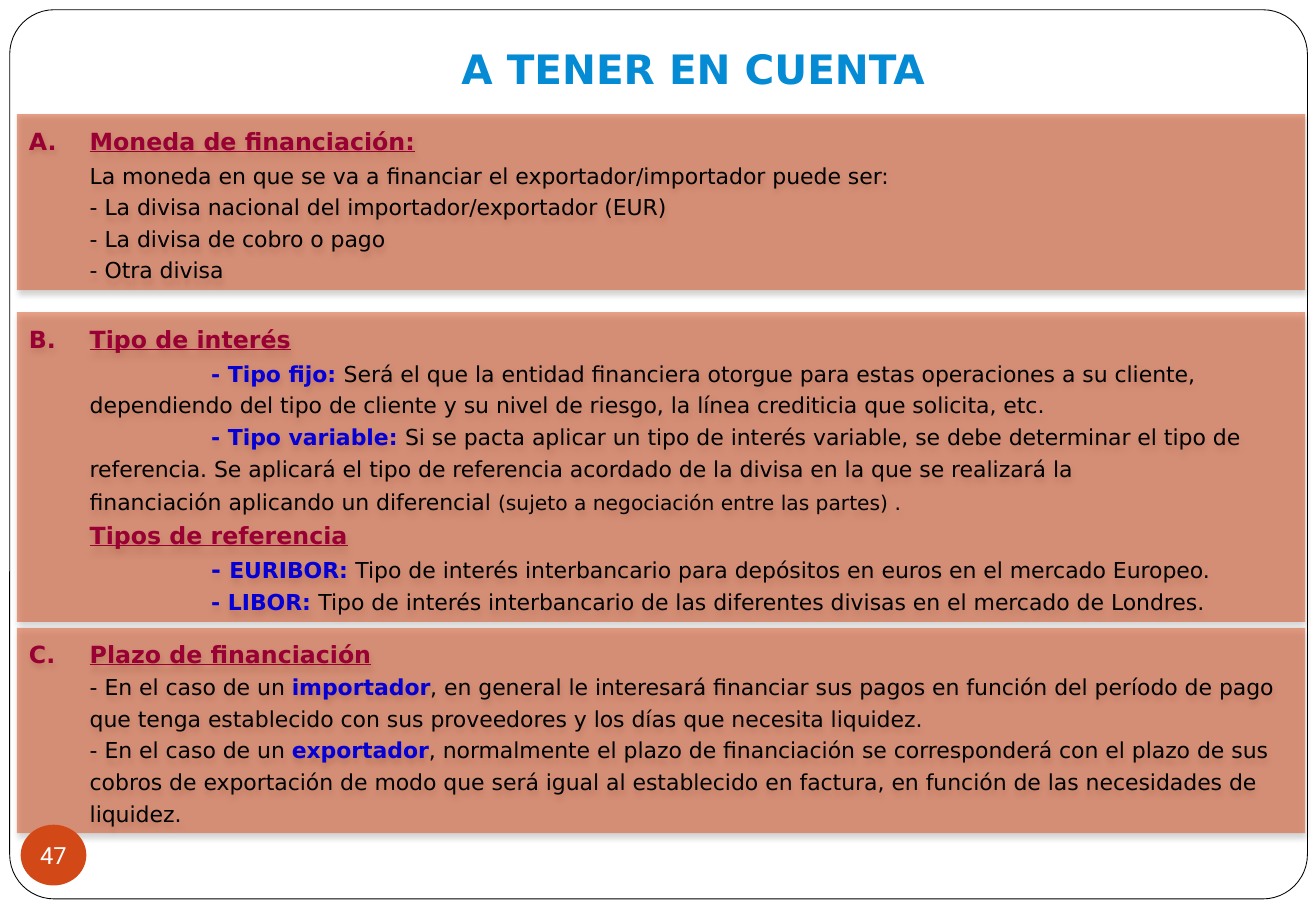
from lxml import etree
from pptx import Presentation, util as u
from pptx.dml.color import RGBColor
from pptx.enum import shapes, text
from pptx.oxml.ns import qn

COLOURS = {
    "paper": "FFFFFF", "ink": "000000", "title": "058AD4",
    "heading": "990033", "term": "0500D4", "panel": "D34817",
}
FONT, NUMBER_FONT = "DejaVu Sans", "Roboto"
PANEL_LEFT, PANEL_WIDTH = 1.29, 97.88  # percent of the slide width

# Paragraph kinds used in the panels: first-line indent and space before
HEADING = dict(size=14, colour="heading", bold=True, underline=True)
LETTERED = dict(margin=0.5, indent=-0.5)
PLAIN = dict(margin=0.5, indent=0)
SUBITEM = dict(margin=0.5, indent=1)
LEAD = dict(before=1.2)


def rgb(name):
    return RGBColor.from_string(COLOURS[name])


def add_run(paragraph, content, size=13, colour="ink", bold=False,
            underline=False, font=FONT):
    """Add formatted text; a newline becomes a line break."""
    for index, line in enumerate(content.split("\n")):
        if index:
            paragraph.add_line_break()
        run = paragraph.add_run()
        run.text = line
        run.font.name, run.font.size = font, u.Pt(size)
        run.font.bold, run.font.underline = bold, underline
        run.font.color.rgb = rgb(colour)


def term(content, **format):
    return content, dict(colour="term", bold=True, **format)


def body(content, **format):
    return content, format


class SlideBuilder:
    """Places elements by percent of the slide's width and height."""

    def __init__(self, presentation):
        self.width = presentation.slide_width
        self.height = presentation.slide_height
        self.slide = presentation.slides.add_slide(presentation.slide_layouts[6])

    def box(self, left, top, width, height):
        return [int(share * side / 100) for share, side in
                zip((left, top, width, height), (self.width, self.height) * 2)]

    def shape(self, kind, area, fill, line=None):
        shape = self.slide.shapes.add_shape(kind, *self.box(*area))
        shape.fill.solid()
        shape.fill.fore_color.rgb = rgb(fill)
        if line:
            shape.line.color.rgb = rgb(line)
            shape.line.width = u.Pt(0.5)
        else:
            shape.line.fill.background()
        shape.shadow.inherit = False
        return shape

    def frame(self, area):
        shape = self.shape(shapes.MSO_SHAPE.ROUNDED_RECTANGLE, area, "paper", "ink")
        shape.adjustments[0] = 0.05

    def title(self, area, content):
        frame = self.slide.shapes.add_textbox(*self.box(*area)).text_frame
        frame.word_wrap = False
        add_run(frame.paragraphs[0], content, size=24, colour="title", bold=True)

    def badge(self, area, content):
        frame = self.shape(shapes.MSO_SHAPE.OVAL, area, "panel").text_frame
        frame.margin_left = frame.margin_right = 0
        frame.margin_top = frame.margin_bottom = 0
        frame.word_wrap = False
        frame.vertical_anchor = text.MSO_ANCHOR.MIDDLE
        frame.paragraphs[0].alignment = text.PP_ALIGN.CENTER
        add_run(frame.paragraphs[0], content, size=14, colour="paper", font=NUMBER_FONT)

    def paragraph(self, paragraph, runs, margin, indent, before=0, number=None):
        properties = paragraph._p.get_or_add_pPr()
        properties.set("marL", str(u.Inches(margin)))
        properties.set("indent", str(u.Inches(indent)))
        if number:
            etree.SubElement(properties, qn("a:buAutoNum"),
                             type="alphaUcPeriod", startAt=str(number))
        paragraph.alignment = text.PP_ALIGN.LEFT
        paragraph.line_spacing = 1.2
        if before:
            paragraph.space_before = u.Pt(before)
        for content, format in runs:
            add_run(paragraph, content, **format)

    def panel(self, number, top, height, heading, paragraphs):
        area = PANEL_LEFT, top, PANEL_WIDTH, height
        shape = self.shape(shapes.MSO_SHAPE.RECTANGLE, area, "panel")
        properties = shape._element.spPr
        # Half-transparent fill and a soft shadow below
        colour = properties.find(qn("a:solidFill")).find(qn("a:srgbClr"))
        etree.SubElement(colour, qn("a:alpha"), val="50000")
        shadow = etree.SubElement(
            properties.find(qn("a:effectLst")), qn("a:outerShdw"),
            blurRad=str(u.Pt(3.5)), dist=str(u.Pt(2.2)), dir="5400000", rotWithShape="0")
        colour = etree.SubElement(shadow, qn("a:srgbClr"), val=COLOURS["ink"])
        etree.SubElement(colour, qn("a:alpha"), val="32000")
        # Lettered heading, then the paragraphs
        frame = shape.text_frame
        frame.word_wrap = True
        frame.vertical_anchor = text.MSO_ANCHOR.MIDDLE
        self.paragraph(frame.paragraphs[0], [(heading, HEADING)], number=number, **LETTERED)
        for layout, *runs in paragraphs:
            self.paragraph(frame.add_paragraph(), runs, **layout)


PANELS = [
    (12.53, 19.33, "Moneda de financiación:", [
        (PLAIN | LEAD, body("La moneda en que se va a financiar el "
                            "exportador/importador puede ser:")),
        (PLAIN, body("- La divisa nacional del importador/exportador (EUR)")),
        (PLAIN, body("- La divisa de cobro o pago")),
        (PLAIN, body("- Otra divisa")),
    ]),
    (34.27, 34, "Tipo de interés", [
        (SUBITEM | LEAD, term("- Tipo fijo: "),
         body("Será el que la entidad financiera otorgue para estas operaciones a su "
              "cliente, dependiendo del tipo de cliente y su nivel de riesgo, la línea "
              "crediticia que solicita, etc.")),
        (SUBITEM, term("- Tipo variable: "),
         body("Si se pacta aplicar un tipo de interés variable, se debe determinar el "
              "tipo de referencia. Se aplicará el tipo de referencia acordado de la "
              "divisa en la que se realizará la\nfinanciación aplicando un diferencial"),
         body(" ", size=14),
         body("(sujeto a negociación entre las partes) .", size=12)),
        (PLAIN, ("Tipos de referencia", HEADING)),
        (SUBITEM, term("- ", size=14), term("EURIBOR: "),
         body("Tipo de interés interbancario para depósitos en euros en el mercado "
              "Europeo.")),
        (SUBITEM, term("- LIBOR: "),
         body("Tipo de interés interbancario de las diferentes divisas en el mercado "
              "de Londres.")),
    ]),
    (68.93, 22.53, "Plazo de financiación", [
        (PLAIN, body("- En el caso de un "), term("importador"),
         body(", en general le interesará financiar sus pagos en función del período de "
              "pago que tenga establecido con sus proveedores y los días que necesita "
              "liquidez.")),
        (PLAIN, body("- En el caso de un "), term("exportador"),
         body(", normalmente el plazo de financiación se corresponderá con el plazo de "
              "sus cobros de exportación de modo que será igual al establecido en "
              "factura, en función de las necesidades de liquidez.")),
    ]),
]


def main():
    presentation = Presentation()
    presentation.slide_width = u.Inches(10.83)
    presentation.slide_height = u.Inches(7.5)
    builder = SlideBuilder(presentation)

    # Frame and title
    builder.frame((0.74, 1.07, 98.61, 97.6))
    builder.title((34.16, 4.13, 37.77, 6.67), "A TENER EN CUENTA")

    # Panels A to C
    for number, panel in enumerate(PANELS, start=1):
        builder.panel(number, *panel)

    # Slide number
    builder.badge((1.57, 90.53, 4.99, 6.67), "47")
    presentation.save("out.pptx")


if __name__ == "__main__":
    main()
